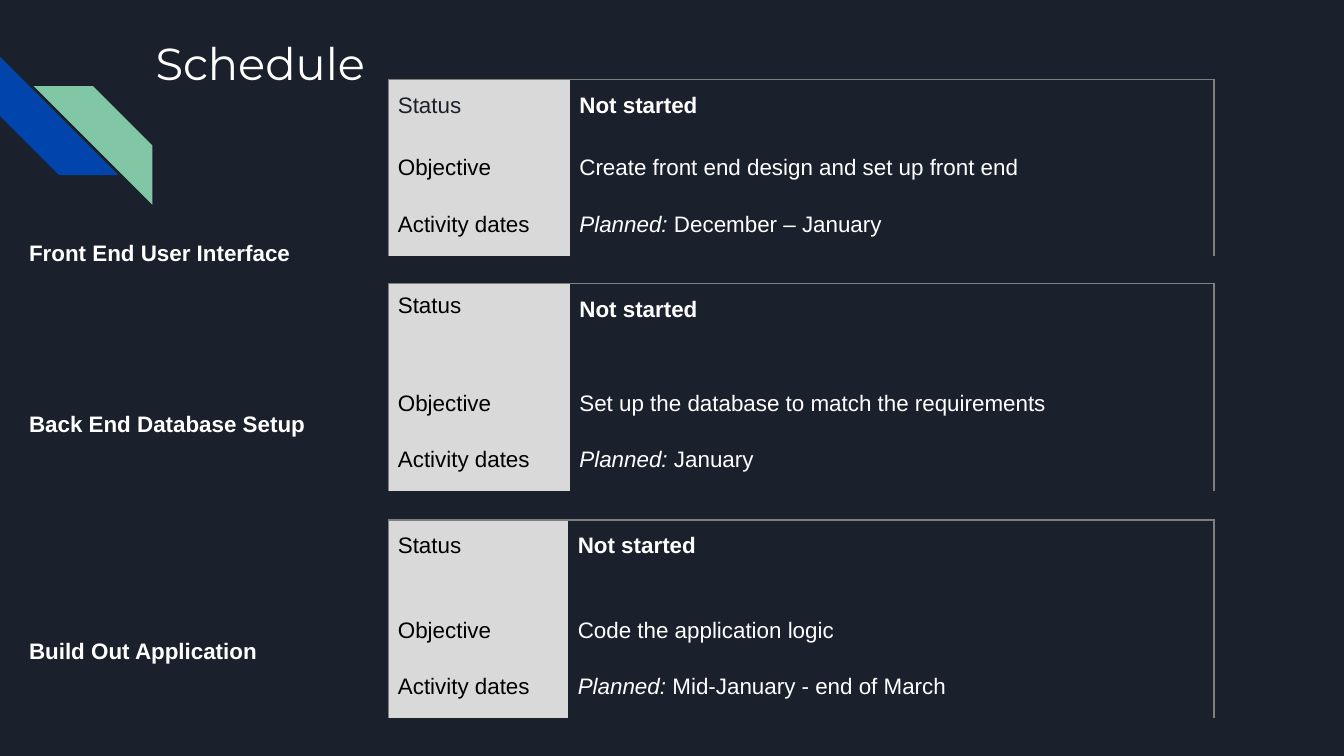
from dataclasses import dataclass

from lxml.etree import SubElement
from pptx import Presentation
from pptx.dml.color import RGBColor
from pptx.enum.shapes import MSO_SHAPE as Preset
from pptx.enum.text import MSO_ANCHOR as Anchor
from pptx.oxml.ns import qn
from pptx.util import Cm, Pt


@dataclass(frozen=True)
class Theme:
    background: str = "1B212C"
    white: str = "FFFFFF"
    black: str = "000000"
    label_fill: str = "D9D9D9"
    border: str = "7F7F7F"
    blue: str = "0145AC"
    green: str = "82C7A5"
    title_font: str = "Montserrat"
    body_font: str = "Arial"
    title_size: int = 24
    body_size: int = 12


@dataclass(frozen=True)
class Stripe:
    left: float
    top: float
    color: str
    rotation: int = 0
    mirrored: bool = False


@dataclass(frozen=True)
class Phase:
    top: float
    status_height: float
    objective: str
    dates: str
    label_width: float = 3.43
    status_color: str = "000000"
    compact_status: bool = False


@dataclass(frozen=True)
class PhaseName:
    text: str
    space_before: float
    space_after: float = 0


THEME = Theme()
STRIPE_SIZE = 2.24
TABLE_LEFT = 7.34
TABLE_WIDTH = 15.6
ROW_HEIGHT = 1.07
NO_GRID_STYLE = "{2D5ABB26-0587-4C30-8999-92F81FD0307C}"

STRIPES = [
    Stripe(0, 1.07, THEME.blue, rotation=270),
    Stripe(0.64, 1.63, THEME.green, mirrored=True),
]
PHASES = [
    Phase(1.5, 1.19, "Create front end design and set up front end",
          "December – January", status_color=THEME.background),
    Phase(5.36, 1.78, "Set up the database to match the requirements",
          "January", compact_status=True),
    Phase(9.83, 1.6, "Code the application logic",
          "Mid-January - end of March", label_width=3.4),
]
PHASE_NAMES = [
    PhaseName("Front End User Interface", 14),
    PhaseName("Back End Database Setup", 75),
    PhaseName("Build Out Application", 105.5, 40),
]


def set_font(paragraph, color: str, size: int = THEME.body_size,
             name: str = THEME.body_font, bold: bool = False) -> None:
    font = paragraph.font
    font.name, font.size, font.bold = name, Pt(size), bold
    font.color.rgb = RGBColor.from_string(color)


def set_spacing(paragraph, before: float, after: float, line: float = 1.15) -> None:
    paragraph.space_before, paragraph.space_after = Pt(before), Pt(after)
    paragraph.line_spacing = line


def add_stripe(slide, stripe: Stripe) -> None:
    shape = slide.shapes.add_shape(Preset.DIAGONAL_STRIPE, Cm(stripe.left), Cm(stripe.top),
                                   Cm(STRIPE_SIZE), Cm(STRIPE_SIZE))
    shape.shadow.inherit = False
    shape.fill.solid()
    shape.fill.fore_color.rgb = RGBColor.from_string(stripe.color)
    shape.line.fill.background()
    shape.rotation = stripe.rotation
    if stripe.mirrored:
        shape._element.spPr.find(qn("a:xfrm")).set("flipH", "1")


def add_text_frame(slide, left: float, top: float, width: float, height: float, anchor):
    frame = slide.shapes.add_textbox(Cm(left), Cm(top), Cm(width), Cm(height)).text_frame
    frame.word_wrap = True
    frame.vertical_anchor = anchor
    frame.margin_left = frame.margin_right = Cm(0.25)
    frame.margin_top = frame.margin_bottom = Cm(0.25)
    return frame


def set_borders(cell, visible: set[str]) -> None:
    properties = cell._tc.get_or_add_tcPr()
    for side in "LRTB":
        line = SubElement(properties, qn(f"a:ln{side}"), w=str(Pt(1)))
        if side in visible:
            fill = SubElement(line, qn("a:solidFill"))
            SubElement(fill, qn("a:srgbClr"), val=THEME.border)
        else:
            SubElement(line, qn("a:noFill"))


def format_cell(cell, row: int, column: int) -> None:
    cell.margin_left = cell.margin_right = Cm(0.18)
    cell.margin_top = cell.margin_bottom = Cm(0.18)
    set_borders(cell, {"LR"[column]} | ({"T"} if row == 0 else set()))
    if column == 0:
        cell.fill.solid()
        cell.fill.fore_color.rgb = RGBColor.from_string(THEME.label_fill)
    else:
        cell.fill.background()


def add_phase_table(slide, phase: Phase) -> None:
    heights = [phase.status_height, ROW_HEIGHT, ROW_HEIGHT]
    table = slide.shapes.add_table(3, 2, Cm(TABLE_LEFT), Cm(phase.top),
                                   Cm(TABLE_WIDTH), Cm(sum(heights))).table
    table.first_row = table.horz_banding = False
    table._tbl.tblPr.find(qn("a:tableStyleId")).text = NO_GRID_STYLE
    table.columns[0].width = Cm(phase.label_width)
    table.columns[1].width = Cm(TABLE_WIDTH - phase.label_width)
    rows = [
        ("Status", ["Not started"]),
        ("Objective", [phase.objective]),
        ("Activity dates", ["Planned:", f" {phase.dates}"]),
    ]
    for row, (label, value_runs) in enumerate(rows):
        table.rows[row].height = Cm(heights[row])
        for column, runs in enumerate([[label], value_runs]):
            cell = table.cell(row, column)
            format_cell(cell, row, column)
            paragraph = cell.text_frame.paragraphs[0]
            for text in runs:
                paragraph.add_run().text = text
            if len(runs) > 1:
                paragraph.runs[0].font.italic = True
            label_color = phase.status_color if row == 0 else THEME.black
            set_font(paragraph, THEME.white if column else label_color,
                     bold=(row, column) == (0, 1))
            if phase.compact_status and (row, column) == (0, 0):
                set_spacing(paragraph, 6, 0, 1)
            else:
                set_spacing(paragraph, 6, 3)


def add_title(slide) -> None:
    paragraph = add_text_frame(slide, 2.69, 0.43, 19.56, 2.54, Anchor.TOP).paragraphs[0]
    paragraph.text = "Schedule"
    set_font(paragraph, THEME.white, THEME.title_size, THEME.title_font)


def add_phase_names(slide) -> None:
    frame = add_text_frame(slide, 0.3, 5.82, 6.48, 5.36, Anchor.MIDDLE)
    for index, phase_name in enumerate(PHASE_NAMES):
        paragraph = frame.add_paragraph() if index else frame.paragraphs[0]
        paragraph.text = phase_name.text
        set_font(paragraph, THEME.white, bold=True)
        set_spacing(paragraph, phase_name.space_before, phase_name.space_after)


def build() -> None:
    presentation = Presentation()
    presentation.slide_width, presentation.slide_height = Cm(25.4), Cm(14.29)
    slide = presentation.slides.add_slide(presentation.slide_layouts[6])
    slide.background.fill.solid()
    slide.background.fill.fore_color.rgb = RGBColor.from_string(THEME.background)
    for stripe in STRIPES:
        add_stripe(slide, stripe)
    add_title(slide)
    for phase in PHASES:
        add_phase_table(slide, phase)
    add_phase_names(slide)
    presentation.save("out.pptx")


build()
